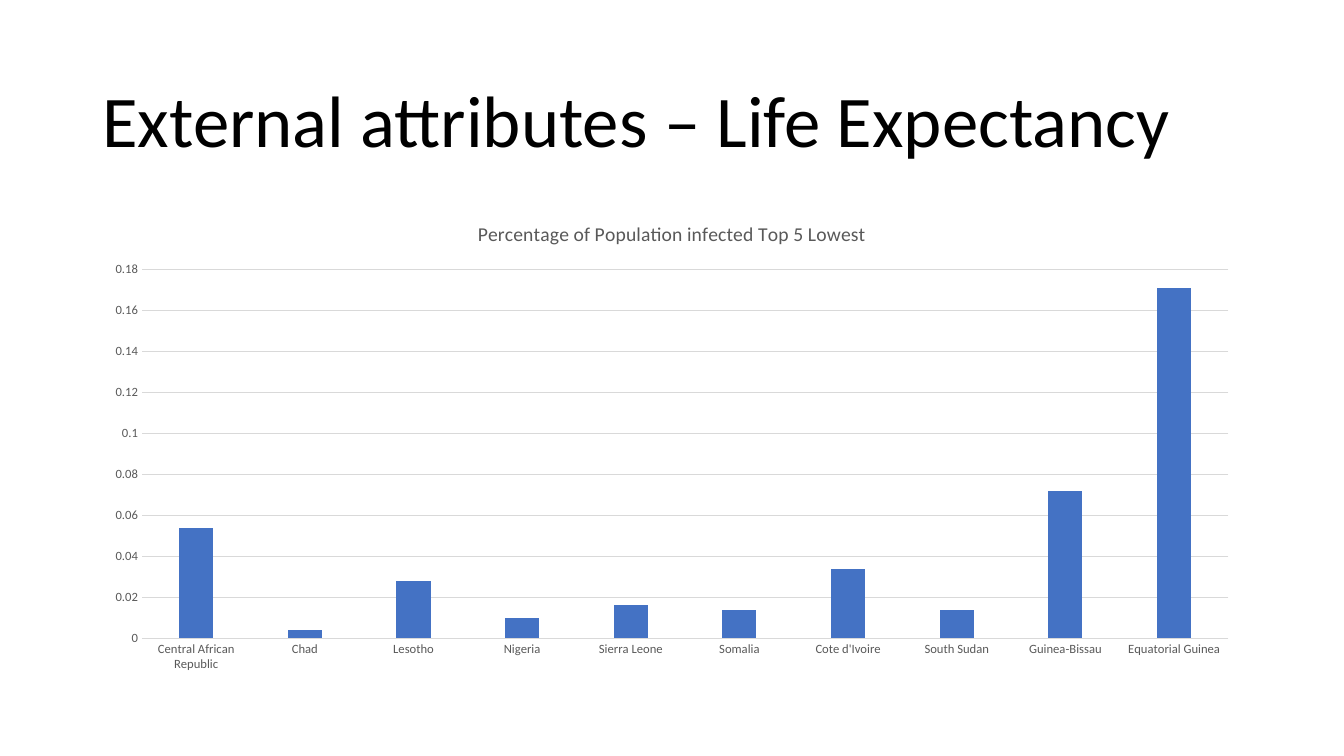
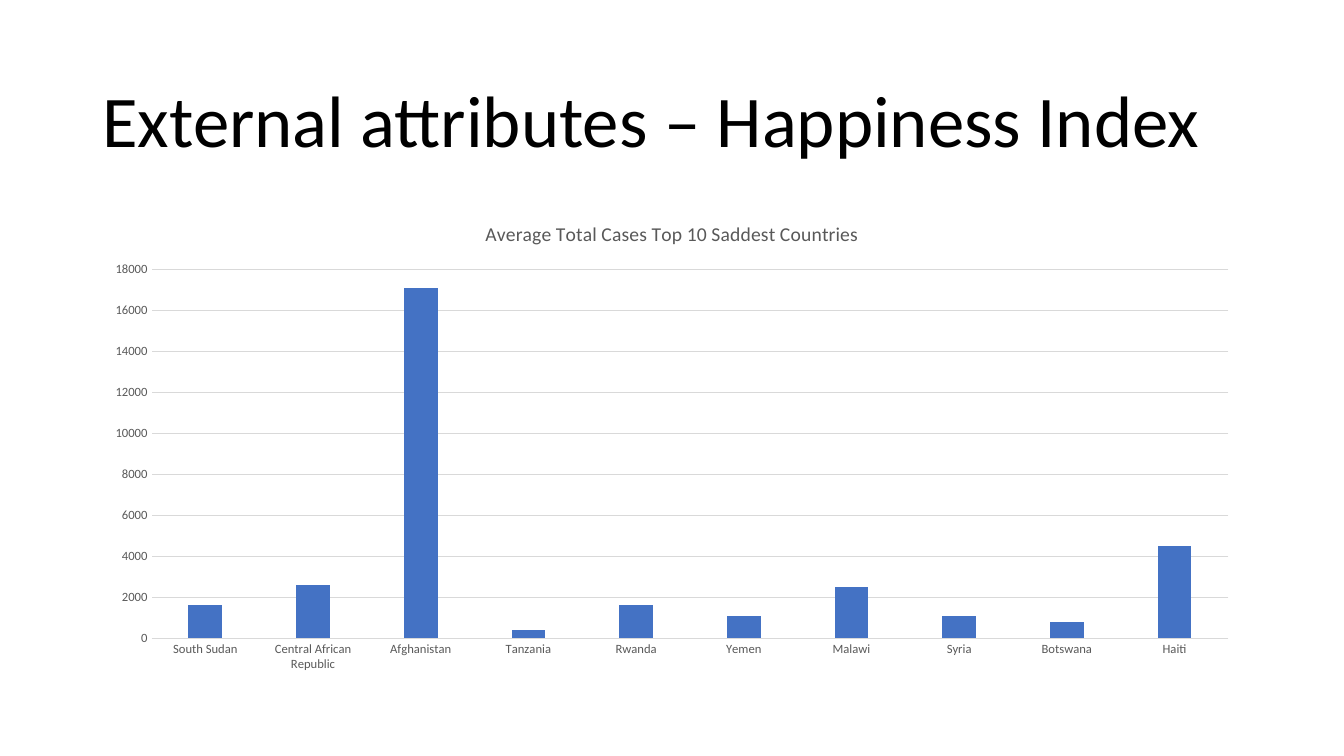
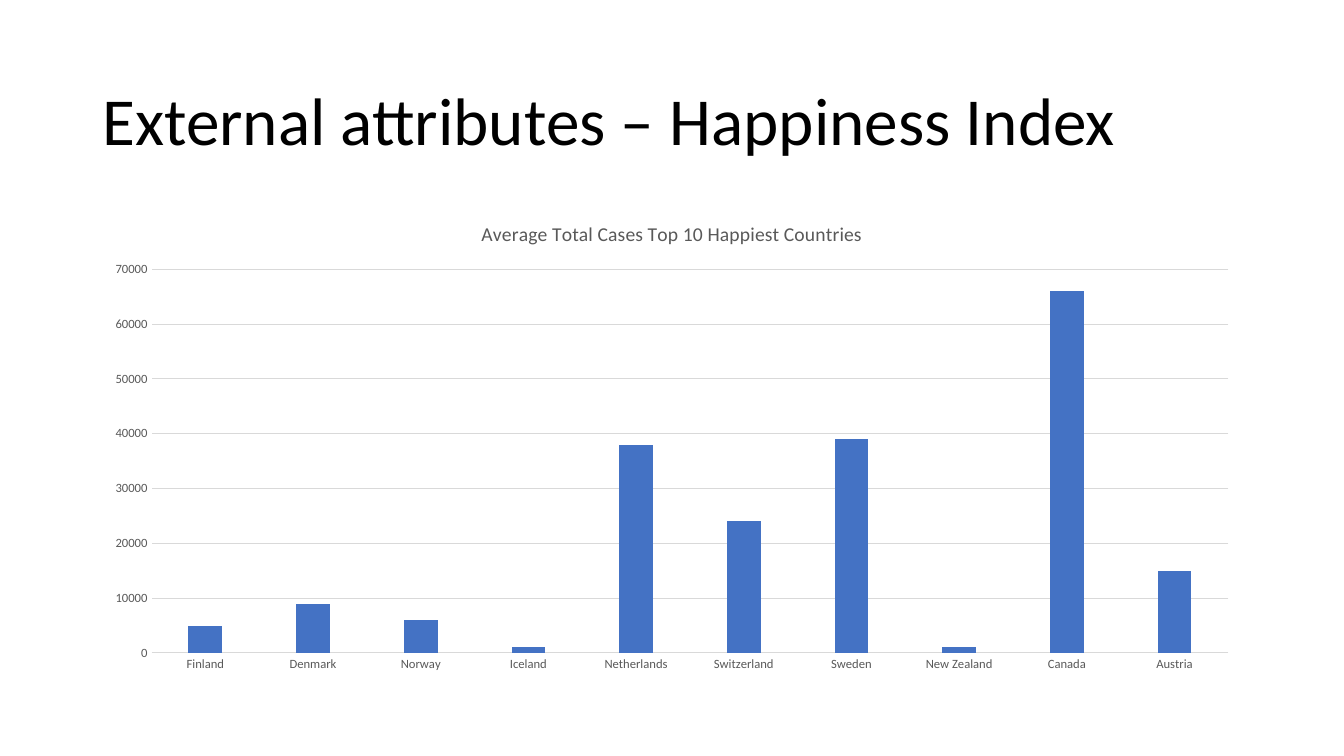
"""Build three slides of column charts on external attributes."""
from dataclasses import dataclass

from pptx import Presentation
from pptx.chart.data import CategoryChartData
from pptx.dml.color import RGBColor
from pptx.enum.chart import XL_CHART_TYPE, XL_TICK_MARK
from pptx.enum.text import MSO_ANCHOR
from pptx.util import Pt

COLUMN = XL_CHART_TYPE.COLUMN_CLUSTERED
NO_TICK = XL_TICK_MARK.NONE
MIDDLE = MSO_ANCHOR.MIDDLE


@dataclass(frozen=True)
class Theme:
    font: str = "Calibri"
    title_color: RGBColor = RGBColor(0x00, 0x00, 0x00)
    label_color: RGBColor = RGBColor(0x59, 0x59, 0x59)
    grid_color: RGBColor = RGBColor(0xD9, 0xD9, 0xD9)
    column_color: RGBColor = RGBColor(0x44, 0x72, 0xC4)
    title_size: int = 52
    compact_title_size: int = 48
    chart_title_size: int = 14
    chart_size: int = 10
    label_size: int = 9
    line_width: float = 0.75


theme = Theme()
LEFT, WIDTH = Pt(66), Pt(828)
TITLE_TOP, TITLE_HEIGHT = Pt(44), Pt(89)
CHART_TOP, CHART_HEIGHT = Pt(144), Pt(342.6)

SLIDES = [
    {
        "title": "External attributes – Life Expectancy",
        "title_size": theme.title_size,
        "chart_title": "Percentage of Population infected Top 5 Lowest",
        "series": "Series 1",
        "axis": (0.18, 0.02),
        "values": {
            "Central African Republic": 0.054, "Chad": 0.004, "Lesotho": 0.028,
            "Nigeria": 0.01, "Sierra Leone": 0.016, "Somalia": 0.014,
            "Cote d'Ivoire": 0.034, "South Sudan": 0.014,
            "Guinea-Bissau": 0.072, "Equatorial Guinea": 0.171,
        },
    },
    {
        "title": "External attributes – Happiness Index",
        "title_size": theme.title_size,
        "chart_title": "Average Total Cases Top 10 Saddest Countries",
        "series": "Average Total Cases Top 10 Saddest Countries",
        "axis": (18000, 2000),
        "values": {
            "South Sudan": 1600, "Central African Republic": 2600,
            "Afghanistan": 17100, "Tanzania": 400, "Rwanda": 1600,
            "Yemen": 1100, "Malawi": 2500, "Syria": 1100,
            "Botswana": 800, "Haiti": 4500,
        },
    },
    {
        "title": "External attributes – Happiness Index",
        "title_size": theme.compact_title_size,
        "chart_title": "Average Total Cases Top 10 Happiest Countries",
        "series": "Average Total Cases Top 10 Happiest Countries",
        "axis": (70000, 10000),
        "values": {
            "Finland": 5000, "Denmark": 9000, "Norway": 6000, "Iceland": 1000,
            "Netherlands": 38000, "Switzerland": 24000, "Sweden": 39000,
            "New Zealand": 1000, "Canada": 66000, "Austria": 15000,
        },
    },
]


def style_font(font, size, color):
    font.name = theme.font
    font.size = Pt(size)
    font.bold = False
    font.color.rgb = color


def style_line(line):
    line.color.rgb = theme.grid_color
    line.width = Pt(theme.line_width)


presentation = Presentation()
presentation.slide_width = Pt(960)
presentation.slide_height = Pt(540)
blank_layout = presentation.slide_layouts[6]

for content in SLIDES:
    slide = presentation.slides.add_slide(blank_layout)

    title_box = slide.shapes.add_textbox(LEFT, TITLE_TOP, WIDTH, TITLE_HEIGHT)
    text_frame = title_box.text_frame
    text_frame.word_wrap = True
    text_frame.vertical_anchor = MIDDLE
    text_frame.text = content["title"]
    paragraph = text_frame.paragraphs[0]
    paragraph.line_spacing = 0.9
    style_font(paragraph.runs[0].font, content["title_size"], theme.title_color)

    chart_data = CategoryChartData()
    chart_data.categories = list(content["values"])
    chart_data.add_series(content["series"], list(content["values"].values()))
    chart = slide.shapes.add_chart(
        COLUMN, LEFT, CHART_TOP, WIDTH, CHART_HEIGHT, chart_data
    ).chart
    style_font(chart.font, theme.chart_size, theme.title_color)
    chart.has_legend = False
    chart.has_title = True
    chart_title = chart.chart_title.text_frame
    chart_title.text = content["chart_title"]
    style_font(chart_title.paragraphs[0].runs[0].font,
               theme.chart_title_size, theme.label_color)

    plot = chart.plots[0]
    plot.vary_by_categories = False
    plot.gap_width = 219
    plot.overlap = -27
    column_fill = plot.series[0].format.fill
    column_fill.solid()
    column_fill.fore_color.rgb = theme.column_color

    category_axis, value_axis = chart.category_axis, chart.value_axis
    for axis in (category_axis, value_axis):
        axis.major_tick_mark = NO_TICK
        axis.minor_tick_mark = NO_TICK
        style_font(axis.tick_labels.font, theme.label_size, theme.label_color)
    style_line(category_axis.format.line)
    value_axis.format.line.fill.background()
    value_axis.has_major_gridlines = True
    style_line(value_axis.major_gridlines.format.line)
    value_axis.minimum_scale = 0
    value_axis.maximum_scale, value_axis.major_unit = content["axis"]

presentation.save("out.pptx")
